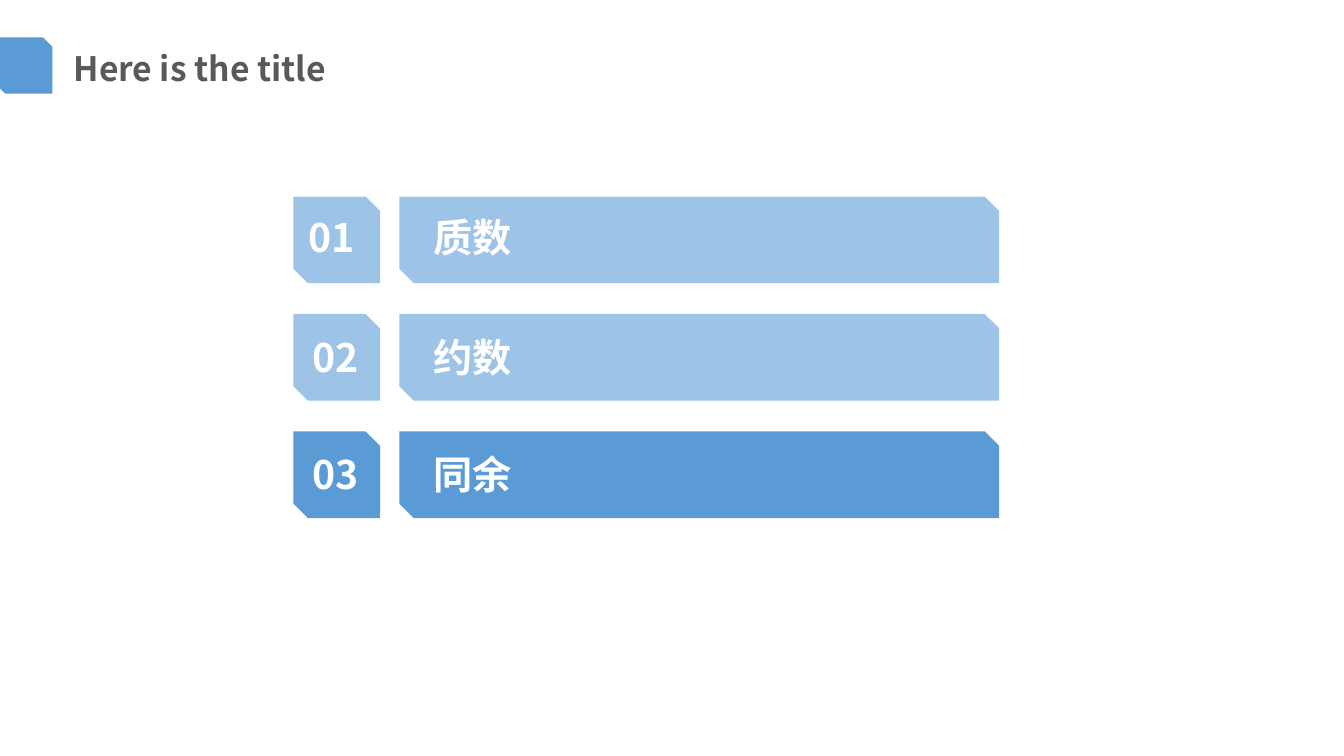
import pptx
import pptx.dml.color
import pptx.enum.shapes
import pptx.enum.text
import pptx.oxml.ns
import pptx.util
from pptx.util import Inches

BLUE = pptx.dml.color.RGBColor(0x5B, 0x9B, 0xD5)
PALE_BLUE = pptx.dml.color.RGBColor(0x9D, 0xC3, 0xE6)
GREY = pptx.dml.color.RGBColor(0x59, 0x59, 0x59)
WHITE = pptx.dml.color.RGBColor(0xFF, 0xFF, 0xFF)
FONT = "Noto Sans CJK SC"
TOPICS = [
    ("01", "质数", PALE_BLUE, 0.05, 0.12),
    ("02", "约数", PALE_BLUE, 0.09, 0.14),
    ("03", "同余", BLUE, 0.09, 0.14),
]


def place(box, left, top, width, height):
    """Move and size a box, in inches."""
    values = {"left": left, "top": top, "width": width, "height": height}
    for name, value in values.items():
        setattr(box, name, Inches(value))


def write_text(box, text, size, color):
    """Put one bold, unwrapped line of text in a box."""
    frame = box.text_frame
    frame_format = {
        "word_wrap": False,
        "auto_size": pptx.enum.text.MSO_AUTO_SIZE.SHAPE_TO_FIT_TEXT,
        "vertical_anchor": pptx.enum.text.MSO_ANCHOR.TOP,
    }
    for name, value in frame_format.items():
        setattr(frame, name, value)
    para = frame.paragraphs[0]
    para.alignment = pptx.enum.text.PP_ALIGN.LEFT
    span = para.add_run()
    span.text = text
    font_format = {"name": FONT, "size": pptx.util.Pt(size), "bold": True}
    for name, value in font_format.items():
        setattr(span.font, name, value)
    span.font.color.rgb = color
    east_asian = pptx.oxml.parse_xml(
        f'<a:ea {pptx.oxml.ns.nsdecls("a")} typeface="{FONT}"/>'
    )
    span.font._element.append(east_asian)


def add_label(page, text, left, top, width, height):
    """Add a white label."""
    box = page.shapes.add_textbox(0, 0, 0, 0)
    place(box, left, top, width, height)
    write_text(box, text, 28, WHITE)


def add_panel(page, color, left, top, width, height):
    """Add a plain panel with two snipped corners."""
    kind = pptx.enum.shapes.MSO_SHAPE.SNIP_2_DIAG_RECTANGLE
    panel = page.shapes.add_shape(kind, 0, 0, 0, 0)
    place(panel, left, top, width, height)
    panel.shadow.inherit = False
    panel.fill.solid()
    panel.fill.fore_color.rgb = color
    panel.line.fill.background()


def add_heading(page, left, top, side):
    """Add the corner panel and the title beside it."""
    add_panel(page, BLUE, left, top, side, side)
    title = page.shapes.title
    place(title, left + 0.67, top + 0.06, 2.78, 0.5)
    write_text(title, "Here is the title", 24, GREY)


def add_topics(page, left, top, width, side, pitch):
    """Add one row for each topic: a number panel and a name panel."""
    name_left = left + 1.05
    for row, (number, name, color, shift, drop) in enumerate(TOPICS):
        row_top = top + row * pitch
        add_panel(page, color, left, row_top, side, side)
        add_panel(page, color, name_left, row_top, left + width - name_left, side)
        add_label(page, number, left + shift, row_top + drop, 0.68, 0.57)
        add_label(page, name, name_left + 0.24, row_top + drop, 0.98, 0.57)


def main():
    """Build and save the deck."""
    deck = pptx.Presentation()
    deck.slide_width = Inches(13.33)
    deck.slide_height = Inches(7.5)
    page = deck.slides.add_slide(deck.slide_layouts[5])
    add_heading(page, left=-0.04, top=0.37, side=0.56)
    add_topics(page, left=2.91, top=1.95, width=7, side=0.86, pitch=1.165)
    deck.save("out.pptx")


if __name__ == "__main__":
    main()
